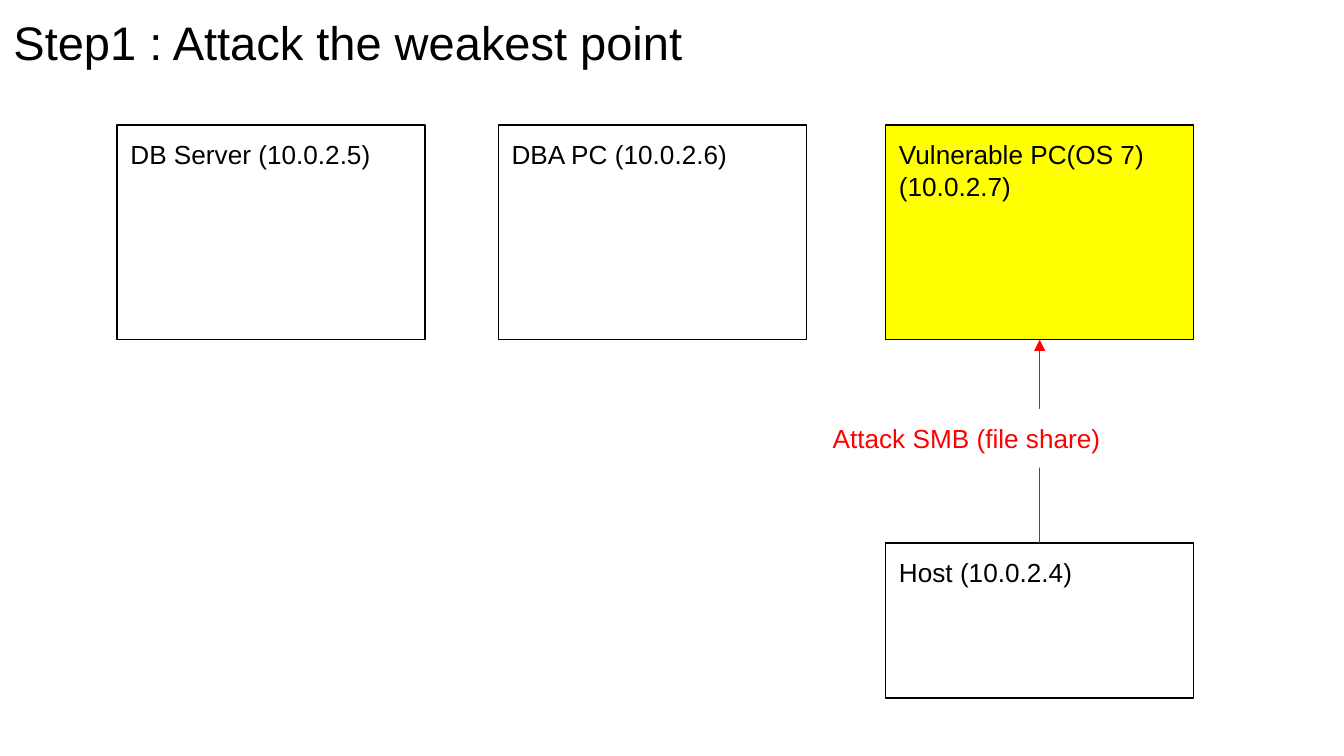
"""Build a network diagram slide showing the first step of an attack."""
from lxml.etree import SubElement
from pptx import Presentation
from pptx.dml.color import RGBColor
from pptx.enum.shapes import MSO_CONNECTOR, MSO_SHAPE
from pptx.enum.text import MSO_ANCHOR, MSO_AUTO_SIZE, PP_ALIGN
from pptx.oxml.ns import qn
from pptx.util import Pt

COLORS = {"text": "000000", "paper": "FFFFFF", "target": "FFFF00", "attack": "FF0000"}
FONT = "Arial"
TITLE_SIZE = 25.2
TEXT_SIZE = 14
INSET = 7.2
LINE_WIDTH = 0.75

BOX_WIDTH = 165
BOX_TOP = 67
BOX_HEIGHT = 115
ATTACKER_TOP = 291
ATTACKER_HEIGHT = 83
TARGET_LEFT = 474.5
HOSTS = [
    (62.75, "DB Server (10.0.2.5)", None),
    (267, "DBA PC (10.0.2.6)", None),
    (TARGET_LEFT, "Vulnerable PC(OS 7)\n(10.0.2.7)", "target"),
]


class Diagram:
    def __init__(self, presentation):
        self.slide = presentation.slides.add_slide(presentation.slide_layouts[5])

    def color(self, name):
        return RGBColor.from_string(COLORS[name])

    def set_text(self, shape, text, size, color):
        text_frame = shape.text_frame
        text_frame.text = text
        text_frame.word_wrap = True
        text_frame.auto_size = MSO_AUTO_SIZE.NONE
        text_frame.vertical_anchor = MSO_ANCHOR.TOP
        text_frame.margin_left = text_frame.margin_right = Pt(INSET)
        text_frame.margin_top = text_frame.margin_bottom = Pt(INSET)
        for paragraph in text_frame.paragraphs:
            paragraph.alignment = PP_ALIGN.LEFT
            for run in paragraph.runs:
                run.font.name = FONT
                run.font.size = Pt(size)
                run.font.color.rgb = self.color(color)

    def title(self, text, width, height):
        shape = self.slide.shapes.title
        shape.left, shape.top = Pt(0), Pt(0)
        shape.width, shape.height = Pt(width), Pt(height)
        self.set_text(shape, text, TITLE_SIZE, "text")

    def box(self, left, top, width, height, text, fill=None, line="text", color="text"):
        shape = self.slide.shapes.add_shape(
            MSO_SHAPE.RECTANGLE, Pt(left), Pt(top), Pt(width), Pt(height)
        )
        shape.shadow.inherit = False
        if fill:
            shape.fill.solid()
            shape.fill.fore_color.rgb = self.color(fill)
        else:
            shape.fill.background()
        if line:
            shape.line.color.rgb = self.color(line)
            shape.line.width = Pt(LINE_WIDTH)
        else:
            shape.line.fill.background()
        self.set_text(shape, text, TEXT_SIZE, color)
        return shape

    def arrow(self, source, target):
        connector = self.slide.shapes.add_connector(MSO_CONNECTOR.STRAIGHT, 0, 0, 0, 0)
        connector.begin_connect(source, 0)
        connector.end_connect(target, 2)
        connector.line.color.rgb = self.color("attack")
        connector.line.width = Pt(LINE_WIDTH)
        properties = connector._element.spPr
        SubElement(properties.find(qn("a:ln")), qn("a:tailEnd"), type="triangle")
        SubElement(properties, qn("a:effectLst"))


def main():
    presentation = Presentation()
    presentation.slide_width = Pt(720)
    presentation.slide_height = Pt(405)
    diagram = Diagram(presentation)
    diagram.title("Step1 : Attack the weakest point", 671, 45)
    hosts = [
        diagram.box(left, BOX_TOP, BOX_WIDTH, BOX_HEIGHT, text, fill)
        for left, text, fill in HOSTS
    ]
    attacker = diagram.box(
        TARGET_LEFT, ATTACKER_TOP, BOX_WIDTH, ATTACKER_HEIGHT, "Host (10.0.2.4)"
    )
    diagram.arrow(attacker, hosts[-1])
    diagram.box(
        439, 219, 236, 31.5, "Attack SMB (file share)",
        fill="paper", line=None, color="attack",
    )
    presentation.save("out.pptx")


if __name__ == "__main__":
    main()
